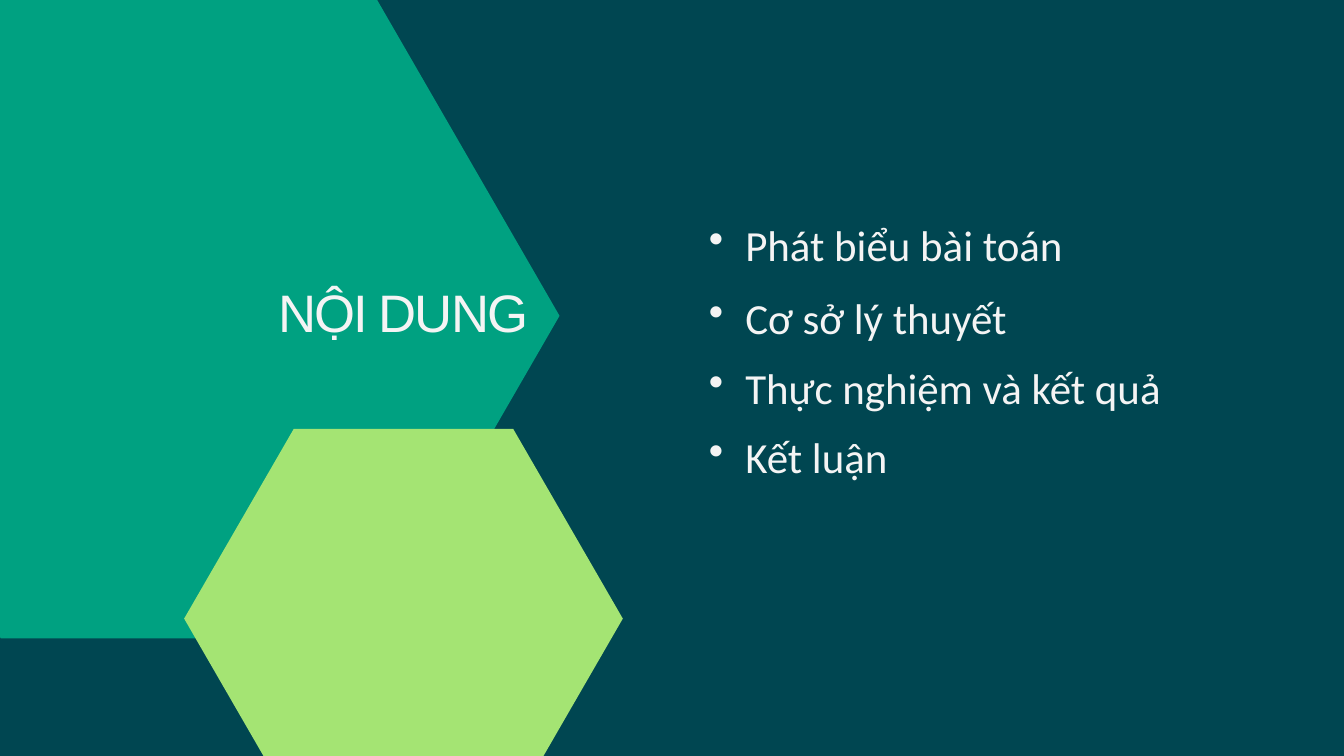
import pptx
import pptx.dml.color
import pptx.enum.text
import pptx.oxml
import pptx.oxml.ns
import pptx.util

Pt = pptx.util.Pt
COLOURS = {"background": "004651", "large": "00A181", "small": "A4E473", "text": "F4F4F4"}


class SlideBuilder:
    """Holds the slide style and draws each kind of element."""

    def __init__(self, slide):
        self.slide = slide

    def colour(self, fill, name):
        fill.solid()
        fill.fore_color.rgb = pptx.dml.color.RGBColor.from_string(COLOURS[name])

    def background(self):
        self.colour(self.slide.background.fill, "background")

    def hexagon(self, left, top, width, height, colour):
        corners = [(1, 0.5), (0.75, 1), (0.25, 1), (0, 0.5), (0.25, 0), (0.75, 0)]
        points = [(Pt(left + x * width), Pt(top + y * height)) for x, y in corners]
        builder = self.slide.shapes.build_freeform(*points[0])
        builder.add_line_segments(points[1:], close=True)
        shape = builder.convert_to_shape()
        shape.shadow.inherit = False
        shape.line.fill.background()
        self.colour(shape.fill, colour)

    def text(self, text, left, top, width, height, font, size, leading):
        shape = self.slide.shapes.add_textbox(Pt(left), Pt(top), Pt(width), Pt(height))
        frame = shape.text_frame
        frame.margin_left = frame.margin_right = frame.margin_top = frame.margin_bottom = 0
        frame.word_wrap = True
        frame.auto_size = pptx.enum.text.MSO_AUTO_SIZE.SHAPE_TO_FIT_TEXT
        paragraph = frame.paragraphs[0]
        paragraph.text = text
        paragraph.line_spacing = Pt(leading)
        paragraph.font.name = font
        paragraph.font.size = Pt(size)
        self.colour(paragraph.font.fill, "text")
        return paragraph

    def title(self, text, left, top, width, height):
        paragraph = self.text(text, left, top, width, height, "Arial", 56.5, 67.8)
        paragraph.alignment = pptx.enum.text.PP_ALIGN.CENTER
        properties = paragraph._p.get_or_add_pPr()
        properties.find(pptx.oxml.ns.qn("a:defRPr")).set("spc", "-210")

    def bullet(self, text, left, top, width, height):
        paragraph = self.text(text, left, top, width, height, "Calibri", 46, 64.4)
        properties = paragraph._p.get_or_add_pPr()
        properties.set("marL", str(Pt(78.5)))
        properties.set("indent", str(Pt(-39)))
        bullet = pptx.oxml.parse_xml(f'<a:buChar {pptx.oxml.ns.nsdecls("a")} char="•"/>')
        properties.find(pptx.oxml.ns.qn("a:defRPr")).addprevious(bullet)


def main():
    presentation = pptx.Presentation()
    presentation.slide_width = Pt(1440)
    presentation.slide_height = Pt(810)
    builder = SlideBuilder(presentation.slides.add_slide(presentation.slide_layouts[6]))

    builder.background()
    builder.hexagon(-198.7, -7.2, 798.2, 691.2, "large")
    builder.hexagon(197.3, 459.4, 470, 406.8, "small")
    builder.title("NỘI DUNG", 256.3, 300.2, 351.4, 67.7)

    topics = [
        ("Phát biểu bài toán", 224.6, 481),
        ("Cơ sở lý thuyết", 303.1, 481),
        ("Thực nghiệm và kết quả", 378, 639.4),
        ("Kết luận", 452.2, 481),
    ]
    for topic, top, width in topics:
        builder.bullet(topic, 720, top, width, 61.2)

    presentation.save("out.pptx")


if __name__ == "__main__":
    main()
